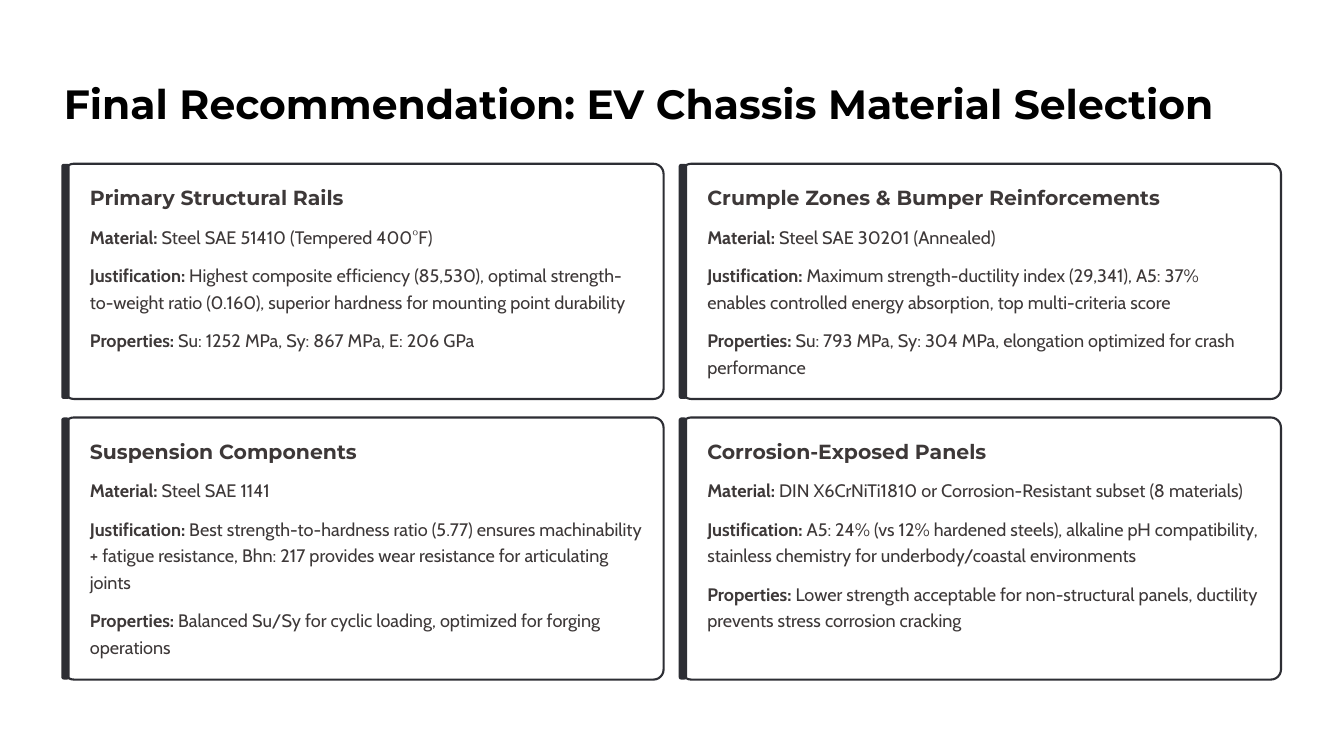
import pptx
import pptx.dml.color
import pptx.enum.shapes
import pptx.enum.text
import pptx.util

Inches = pptx.util.Inches
Pt = pptx.util.Pt

DARK = "2D2E34"
TEXT = "3D3838"
WHITE = "FFFFFF"
COLUMNS = [0.76, 8.11]
ROWS = [(1.95, 2.8), (4.97, 3.12)]
CARD_WIDTH = 7.14
CORNER = 0.12
LINE_HEIGHT = 0.32
PARAGRAPH_GAP = 0.135

CARDS = [
    ("Primary Structural Rails", 3.05, [
        ("Material:", " Steel SAE 51410 (Tempered 400°F)", 1),
        ("Justification:", " Highest composite efficiency (85,530), optimal strength-to-weight ratio (0.160), "
         "superior hardness for mounting point durability", 2),
        ("Properties:", " Su: 1252 MPa, Sy: 867 MPa, E: 206 GPa", 1),
    ]),
    ("Crumple Zones & Bumper Reinforcements", 5.45, [
        ("Material:", " Steel SAE 30201 (Annealed)", 1),
        ("Justification:", " Maximum strength-ductility index (29,341), A5: 37% enables controlled energy "
         "absorption, top multi-criteria score", 2),
        ("Properties:", " Su: 793 MPa, Sy: 304 MPa, elongation optimized for crash performance", 2),
    ]),
    ("Suspension Components", 3.21, [
        ("Material:", " Steel SAE 1141", 1),
        ("Justification:", " Best strength-to-hardness ratio (5.77) ensures machinability + fatigue resistance, "
         "Bhn: 217 provides wear resistance for articulating joints", 3),
        ("Properties:", " Balanced Su/Sy for cyclic loading, optimized for forging operations", 2),
    ]),
    ("Corrosion-Exposed Panels", 3.35, [
        ("Material:", " DIN X6CrNiTi1810 or Corrosion-Resistant subset (8 materials)", 1),
        ("Justification:", " A5: 24% (vs 12% hardened steels), alkaline pH compatibility, stainless chemistry "
         "for underbody/coastal environments", 2),
        ("Properties:", " Lower strength acceptable for non-structural panels, ductility prevents stress "
         "corrosion cracking", 2),
    ]),
]


def color(value):
    """Turn a hex string into a colour."""
    return pptx.dml.color.RGBColor.from_string(value)


class SlideBuilder:
    """Hold the text styles and the slide being built."""

    styles = {
        "title": {"name": "Montserrat", "size": Pt(35), "color": "000000", "spacing": Pt(44)},
        "heading": {"name": "Montserrat", "size": Pt(17.5), "color": TEXT, "spacing": Pt(22)},
        "body": {"name": "Cabin", "size": Pt(15.5), "color": TEXT, "spacing": Pt(23)},
    }

    def __init__(self, slide):
        """Keep the slide and paint its background."""
        self.slide = slide
        slide.background.fill.solid()
        slide.background.fill.fore_color.rgb = color(WHITE)

    def text(self, left, top, width, height, spans, style, wrap=False):
        """Add one paragraph made of (words, bold) spans."""
        box = self.slide.shapes.add_textbox(Inches(left), Inches(top), Inches(width), Inches(height))
        frame_format = {
            "margin_left": 0, "margin_top": 0, "margin_right": 0, "margin_bottom": 0,
            "word_wrap": wrap, "vertical_anchor": pptx.enum.text.MSO_ANCHOR.TOP,
        }
        for key, value in frame_format.items():
            setattr(box.text_frame, key, value)
        look = self.styles[style]
        para = box.text_frame.paragraphs[0]
        para.line_spacing = look["spacing"]
        for words, bold in spans:
            span = para.add_run()
            span.text = words
            for key, value in {"name": look["name"], "size": look["size"], "bold": bold}.items():
                setattr(span.font, key, value)
            span.font.color.rgb = color(look["color"])

    def rounded(self, left, top, width, height, radius, fill, line=None):
        """Add a rounded rectangle with a corner radius in inches."""
        shape = self.slide.shapes.add_shape(
            pptx.enum.shapes.MSO_SHAPE.ROUNDED_RECTANGLE,
            Inches(left), Inches(top), Inches(width), Inches(height))
        shape.shadow.inherit = False
        shape.adjustments[0] = radius / min(width, height)
        shape.fill.solid()
        shape.fill.fore_color.rgb = color(fill)
        if line:
            shape.line.color.rgb = color(line)
            shape.line.width = Pt(1.8)
        else:
            shape.line.fill.background()

    def card(self, left, top, height, heading, heading_width, entries):
        """Add a bordered card with an accent bar, a heading and entries."""
        self.rounded(left, top, CARD_WIDTH, height, CORNER, WHITE, DARK)
        self.rounded(left - 0.03, top, 0.1, height, 0.03, DARK)
        text_left = left + 0.31
        self.text(text_left, top + 0.24, heading_width, 0.31, [(heading, True)], "heading")
        entry_top = top + 0.68
        for label, words, lines in entries:
            entry_height = lines * LINE_HEIGHT
            self.text(text_left, entry_top, 6.58, entry_height,
                      [(label, True), (words, False)], "body", wrap=True)
            entry_top += entry_height + PARAGRAPH_GAP


def main():
    """Build and save the deck."""
    deck = pptx.Presentation()
    deck.slide_width = Inches(16)
    deck.slide_height = Inches(9)
    page = SlideBuilder(deck.slides.add_slide(deck.slide_layouts[6]))
    page.text(0.76, 0.91, 13.82, 0.61,
              [("Final Recommendation: EV Chassis Material Selection", True)], "title")
    places = [(left, top, height) for top, height in ROWS for left in COLUMNS]
    for place, content in zip(places, CARDS):
        page.card(*place, *content)
    deck.save("out.pptx")


if __name__ == "__main__":
    main()
